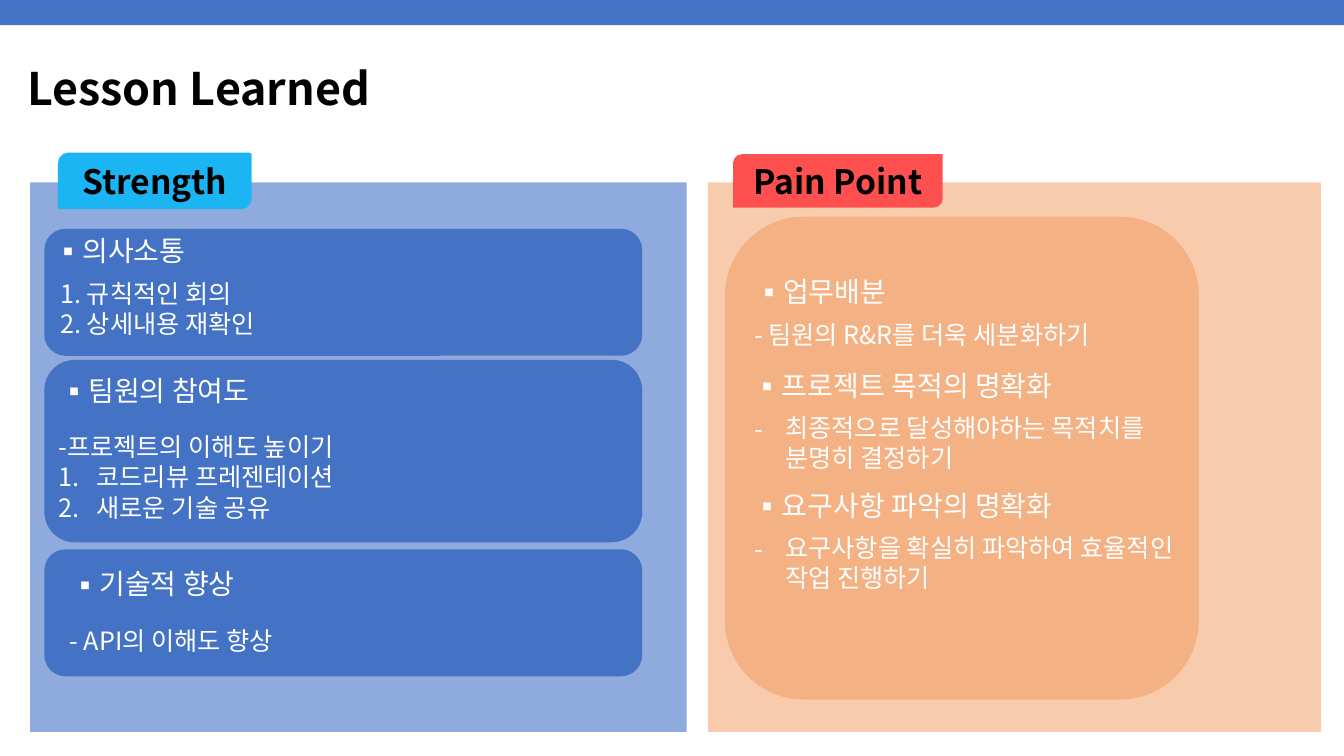
from lxml.etree import SubElement
from pptx import Presentation
from pptx.dml.color import RGBColor
from pptx.enum.shapes import MSO_SHAPE
from pptx.enum.text import MSO_ANCHOR, MSO_AUTO_SIZE, PP_ALIGN
from pptx.oxml.ns import qn
from pptx.util import Pt

PX = 9144  # 100 px to the inch
FONT = "Noto Sans CJK KR"
BLUE, WHITE, BLACK = "4472C4", "FFFFFF", "000000"


def paint(color_format, color):
    color_format.rgb = RGBColor.from_string(color)


def format_paragraph(paragraph, size, color, bold=False, bullet=None, indent=0):
    """Style the runs and add an optional bullet character or number."""
    if bullet:
        properties = paragraph._p.get_or_add_pPr()
        properties.set("marL", str(indent * PX))
        properties.set("indent", str(-indent * PX))
        if bullet == "1.":
            SubElement(properties, qn("a:buFont"), typeface="+mj-lt")
            SubElement(properties, qn("a:buAutoNum"), type="arabicPeriod")
        else:
            SubElement(properties, qn("a:buFont"), typeface=FONT)
            SubElement(properties, qn("a:buChar"), char=bullet)
    for run in paragraph.runs:
        run.font.name = FONT
        run.font.size = Pt(size)
        run.font.bold = bold
        paint(run.font.color, color)
        SubElement(run._r.get_or_add_rPr(), qn("a:ea"), typeface=FONT)


presentation = Presentation()
presentation.slide_width = 1333 * PX
presentation.slide_height = 750 * PX
slide = presentation.slides.add_slide(presentation.slide_layouts[5])

# Title
title = slide.shapes.title
title.left, title.top, title.width, title.height = 17 * PX, 46 * PX, 1293 * PX, 89 * PX
title.text_frame.text = "Lesson Learned"
title.text_frame.vertical_anchor = MSO_ANCHOR.MIDDLE
title.text_frame.auto_size = MSO_AUTO_SIZE.NONE
title_paragraph = title.text_frame.paragraphs[0]
title_paragraph.alignment = PP_ALIGN.LEFT
title_paragraph.line_spacing = 0.9
format_paragraph(title_paragraph, 32, BLACK, bold=True)

# Top bar, panels, cards and tabs
RECTANGLE, ROUNDED = MSO_SHAPE.RECTANGLE, MSO_SHAPE.ROUNDED_RECTANGLE
TAB = MSO_SHAPE.ROUND_2_DIAG_RECTANGLE
blocks = [
    (RECTANGLE, 0, 0, 1333, 25, BLUE, ""),
    (RECTANGLE, 30, 181, 651, 545, "8FAADC", ""),
    (RECTANGLE, 702, 181, 608, 545, "F8CBAD", ""),
    (ROUNDED, 44, 227, 593, 126, BLUE, ""),
    (ROUNDED, 44, 357, 593, 181, BLUE, ""),
    (ROUNDED, 44, 545, 593, 126, BLUE, ""),
    (ROUNDED, 719, 215, 470, 479, "F4B183", ""),
    (TAB, 59, 153, 189, 53, "1CB5F3", "Strength"),
    (TAB, 727, 153, 208, 53, "FF5050", "Pain Point"),
]
for kind, left, top, width, height, color, label in blocks:
    shape = slide.shapes.add_shape(kind, left * PX, top * PX, width * PX, height * PX)
    shape.shadow.inherit = False
    shape.fill.solid()
    paint(shape.fill.fore_color, color)
    if label == "Strength":
        paint(shape.line.color, color)
        shape.line.width = Pt(2.25)
    else:
        shape.line.fill.background()
    if label:
        shape.text_frame.text = label
        shape.text_frame.vertical_anchor = MSO_ANCHOR.MIDDLE
        paragraph = shape.text_frame.paragraphs[0]
        paragraph.alignment = PP_ALIGN.CENTER
        format_paragraph(paragraph, 24, BLACK, bold=True)

# Topic headings
headings = [
    (44, 230, "의사소통"),
    (50, 369, "팀원의 참여도"),
    (61, 561, "기술적 향상"),
    (739, 271, "업무배분"),
    (738, 364, "프로젝트 목적의 명확화"),
    (738, 483, "요구사항 파악의 명확화"),
]
for left, top, text in headings:
    box = slide.shapes.add_textbox(left * PX, top * PX, 343 * PX, 48 * PX)
    box.text_frame.word_wrap = True
    box.text_frame.text = text
    paragraph = box.text_frame.paragraphs[0]
    paragraph.line_spacing = 0.9
    format_paragraph(paragraph, 20, WHITE, bullet="▪", indent=25)

# Details under each heading: lines of (bullet, indent, text)
details = [
    (50, 271, 573, 71, [(None, 0, "1. 규칙적인 회의"), (None, 0, "2. 상세내용 재확인")]),
    (48, 423, 329, 101, [
        (None, 0, "-프로젝트의 이해도 높이기"),
        ("1.", 38, "코드리뷰 프레젠테이션"),
        ("1.", 38, "새로운 기술 공유"),
    ]),
    (59, 615, 329, 40, [(None, 0, "- API의 이해도 향상")]),
    (738, 312, 388, 40, [(None, 0, "- 팀원의 R&R를 더욱 세분화하기")]),
    (738, 404, 441, 71, [("-", 31, "최종적으로 달성해야하는 목적치를 분명히 결정하기")]),
    (738, 523, 441, 71, [("-", 31, "요구사항을 확실히 파악하여 효율적인 작업 진행하기")]),
]
for left, top, width, height, lines in details:
    box = slide.shapes.add_textbox(left * PX, top * PX, width * PX, height * PX)
    frame = box.text_frame
    frame.word_wrap = True
    frame.auto_size = MSO_AUTO_SIZE.SHAPE_TO_FIT_TEXT
    frame.text = "\n".join(text for _, _, text in lines)
    for paragraph, (bullet, indent, _) in zip(frame.paragraphs, lines):
        format_paragraph(paragraph, 18, WHITE, bullet=bullet, indent=indent)

presentation.save("out.pptx")
